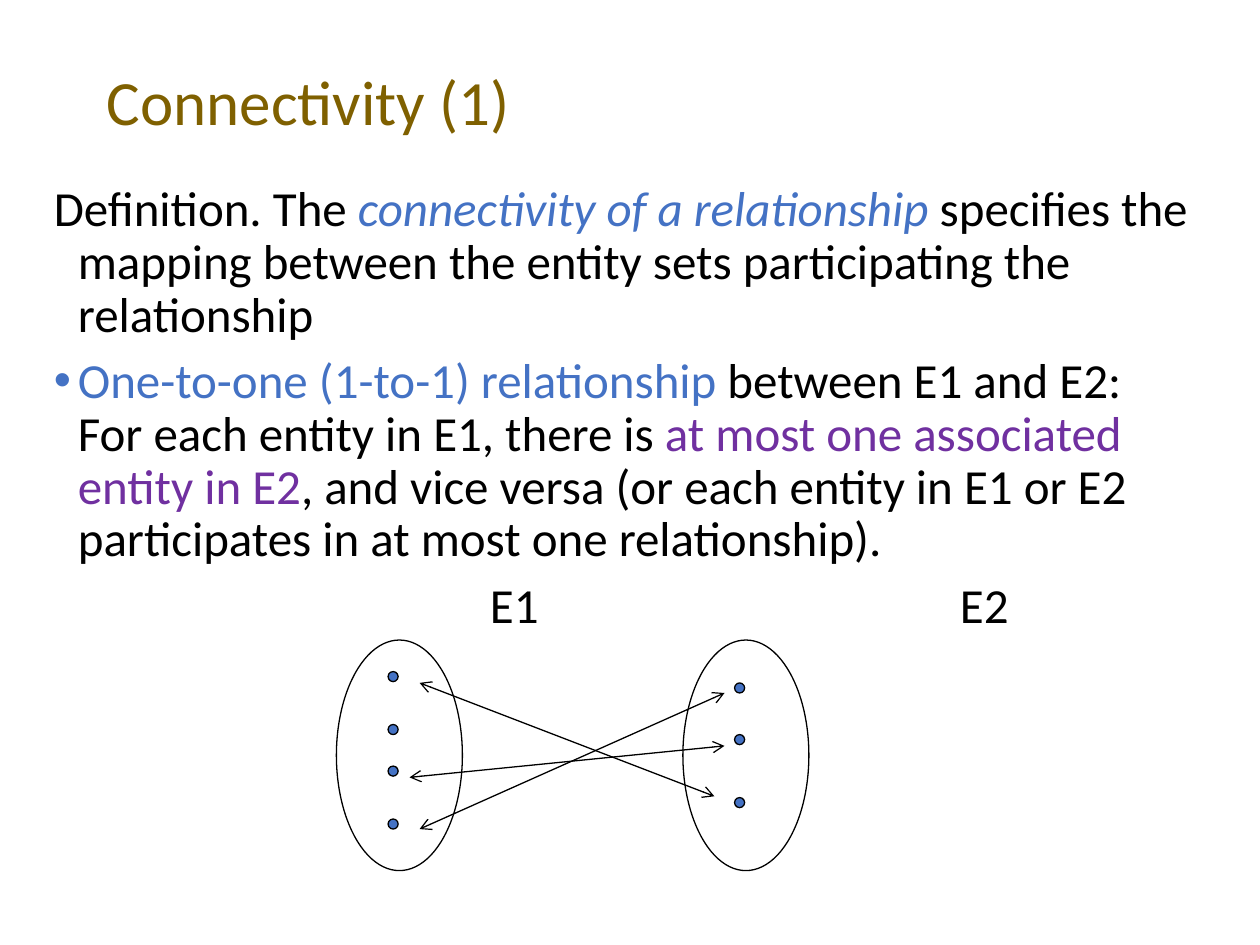
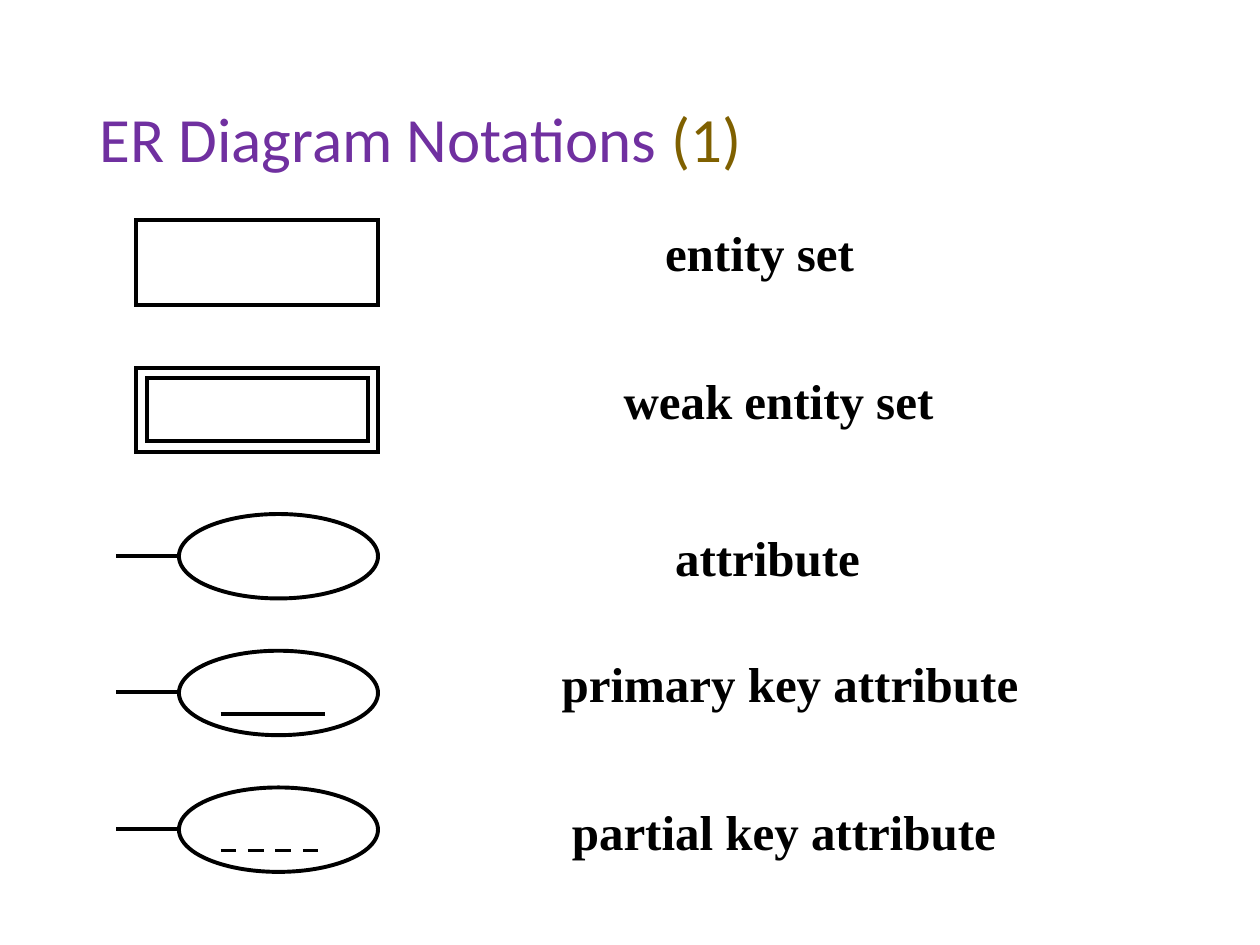
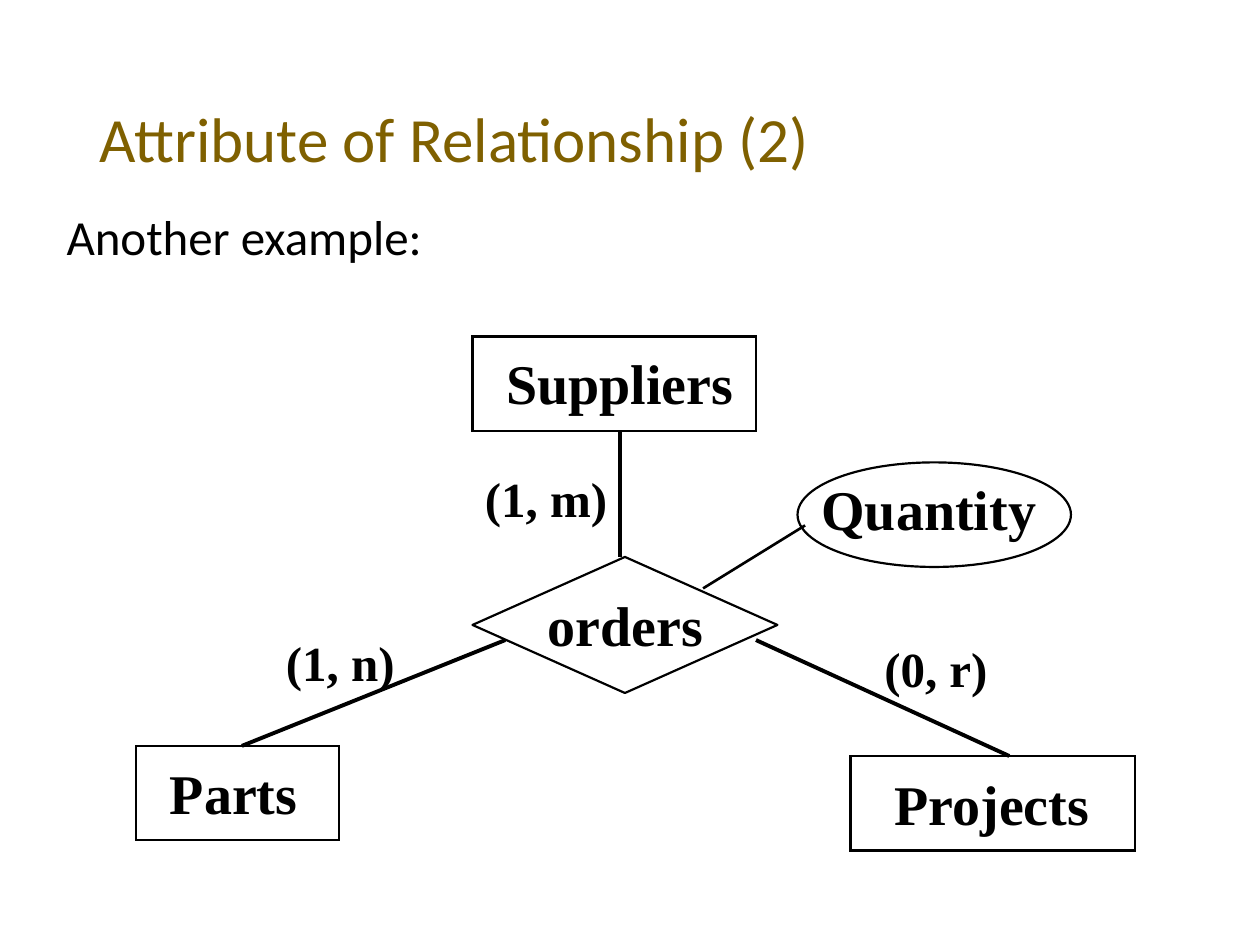
from lxml.etree import SubElement
from pptx import Presentation
from pptx.dml.color import RGBColor
from pptx.enum.dml import MSO_LINE
from pptx.enum.shapes import MSO_CONNECTOR, MSO_SHAPE
from pptx.enum.text import MSO_ANCHOR
from pptx.oxml.ns import qn
from pptx.util import Inches, Pt

COLORS = {"black": "000000", "gold": "7F6000", "blue": "4472C4", "purple": "7030A0"}
TITLE = {"name": "Calibri", "size": Pt(36)}
BODY = {"name": "Calibri", "size": Pt(28)}
LABEL = {"name": "Times New Roman", "size": Pt(28), "bold": True}
NAME = {**LABEL, "size": Pt(32)}
HANGING = 0.19


def color(key):
    return RGBColor.from_string(COLORS[key])


def add_span(para, text, style, key="black", **extra):
    span = para.add_run()
    span.text = text
    for attribute, value in {**style, **extra}.items():
        setattr(span.font, attribute, value)
    span.font.color.rgb = color(key)


def add_box(page, left, top, width, height):
    box = page.shapes.add_textbox(*map(Inches, (left, top, width, height)))
    box.text_frame.word_wrap = True
    return box.text_frame


def add_title(page, spans, left=0.69, top=0.4, width=8.63, height=1.45):
    frame = add_box(page, left, top, width, height)
    frame.vertical_anchor = MSO_ANCHOR.MIDDLE
    para = frame.paragraphs[0]
    para.line_spacing = 0.9
    for text, key in spans:
        add_span(para, text, TITLE, key)


def add_label(page, text, left, top, width, style=LABEL):
    height = 0.57 if style is LABEL else 0.64
    frame = add_box(page, left, top, width + 0.15, height)
    add_span(frame.paragraphs[0], text, style)


def format_para(para, margin=0.0, indent=0.0, bullet=None):
    props = para._p.get_or_add_pPr()
    props.set("marL", str(Inches(margin)))
    props.set("indent", str(Inches(indent)))
    if bullet:
        tint = SubElement(props, qn("a:buClr"))
        SubElement(tint, qn("a:srgbClr"), val=COLORS[bullet])
        SubElement(props, qn("a:buFont"), typeface="Arial")
        SubElement(props, qn("a:buChar"), char="•")
    para.line_spacing = 0.9


def add_outline(page, kind, left, top, width, height, weight, fill=None):
    shape = page.shapes.add_shape(kind, *map(Inches, (left, top, width, height)))
    shape.shadow.inherit = False
    if fill:
        shape.fill.solid()
        shape.fill.fore_color.rgb = color(fill)
    else:
        shape.fill.background()
    shape.line.color.rgb = color("black")
    shape.line.width = Pt(weight)
    if kind == MSO_SHAPE.RECTANGLE:
        SubElement(shape.line._get_or_add_ln(), qn("a:miter"), lim="800000")


def add_line(page, start, end, weight=2.25, dashed=False, arrows=False):
    points = map(Inches, (*start, *end))
    line = page.shapes.add_connector(MSO_CONNECTOR.STRAIGHT, *points)
    line.line.color.rgb = color("black")
    line.line.width = Pt(weight)
    if dashed:
        line.line.dash_style = MSO_LINE.DASH
    if arrows:
        for tag in ("a:headEnd", "a:tailEnd"):
            SubElement(line.line._get_or_add_ln(), qn(tag), type="arrow")
    SubElement(line._element.spPr, qn("a:effectLst"))


def build_connectivity(page):
    add_title(page, [("Connectivity (1)", "gold")], 0.75, 0.42, 8.5, 0.83)

    # Definition and one-to-one rule
    frame = add_box(page, 0.33, 1.41, 9.33, 3.15)
    definition = frame.paragraphs[0]
    format_para(definition, HANGING, -HANGING)
    add_span(definition, "Definition. The ", BODY)
    add_span(definition, "connectivity of a relationship", BODY, "blue", italic=True)
    add_span(definition, " specifies the mapping between the entity sets "
             "participating the relationship", BODY)

    rule = frame.add_paragraph()
    format_para(rule, HANGING, -HANGING, bullet="blue")
    rule.space_before = Pt(7.5)
    add_span(rule, "One-to-one (1-to-1) relationship", BODY, "blue")
    add_span(rule, " between E1 and E2:", BODY)
    rule.add_line_break()
    add_span(rule, "For each entity in E1, there is ", BODY)
    add_span(rule, "at most one associated entity in E2", BODY, "purple")
    add_span(rule, ", and vice versa (or each entity in E1 or E2 participates "
             "in at most one relationship).", BODY)

    # Headings of the two sets
    for text, left in (("E1", 3.79), ("E2", 7.52)):
        heading = add_box(page, left, 4.56, 0.75, 0.52).paragraphs[0]
        format_para(heading)
        add_span(heading, text, BODY)

    # Entity sets and their members
    members = {2.67: (5.33, 5.75, 6.08, 6.5), 5.42: (5.42, 5.83, 6.33)}
    for left, tops in members.items():
        add_outline(page, MSO_SHAPE.OVAL, left, 5.08, 1, 1.83, 0.75)
        for top in tops:
            add_outline(page, MSO_SHAPE.OVAL, left + 0.41, top, 0.08, 0.08, 0.75, "blue")

    # Pairings
    for start, end in (((3.33, 5.42), (5.67, 6.32)),
                       ((3.25, 6.17), (5.75, 5.92)),
                       ((3.33, 6.58), (5.75, 5.5))):
        add_line(page, start, end, 0.75, arrows=True)


def add_attribute(page, top, underline=None):
    add_outline(page, MSO_SHAPE.OVAL, 1.42, top, 1.58, 0.67, 2.25)
    middle = top + 0.33
    add_line(page, (1.42, middle), (0.92, middle))
    if underline:
        add_line(page, (1.75, top + 0.5), (2.58, top + 0.5), dashed=underline == "dashed")


def build_notations(page):
    add_title(page, [("ER Diagram Notations ", "purple"), ("(1)", "gold")])

    # Symbols
    for top in (1.75, 2.92):
        add_outline(page, MSO_SHAPE.RECTANGLE, 1.08, top, 1.92, 0.67, 2.25)
    add_outline(page, MSO_SHAPE.RECTANGLE, 1.17, 3, 1.75, 0.5, 2.25)
    for row, underline in enumerate((None, "solid", "dashed")):
        add_attribute(page, 4.08 + row * 1.085, underline)

    # Meanings
    for text, left, top, width in (("entity set", 5.18, 1.72, 1.7),
                                   ("weak entity set", 4.85, 2.89, 2.66),
                                   ("attribute", 5.26, 4.14, 1.66),
                                   ("primary key attribute", 4.36, 5.14, 3.82),
                                   ("partial key attribute", 4.44, 6.31, 3.56)):
        add_label(page, text, left, top, width)


def build_attribute_example(page):
    add_title(page, [("Attribute of Relationship (2)", "gold")])
    intro = add_box(page, 0.33, 1.64, 9.33, 0.6).paragraphs[0]
    format_para(intro, margin=0.1)
    add_span(intro, "Another example:", BODY)

    # Connections
    for start, end, weight in (((1.92, 5.92), (4.01, 5.08), 2.25),
                               ((6, 5.08), (8.01, 6), 2.25),
                               ((4.92, 4.42), (4.92, 3.42), 2.25),
                               ((5.58, 4.67), (6.39, 4.17), 1.5)):
        add_line(page, start, end, weight)

    # Nodes: outline, then name
    box, oval, diamond = MSO_SHAPE.RECTANGLE, MSO_SHAPE.OVAL, MSO_SHAPE.DIAMOND
    for kind, outline, text, place in (
            (diamond, (3.75, 4.42, 2.42, 1.08), "orders", (4.25, 4.64, 1.43)),
            (box, (1.08, 5.92, 1.61, 0.75), "Parts", (1.25, 5.97, 1.32)),
            (box, (6.75, 6, 2.26, 0.75), "Projects", (7, 6.06, 1.75)),
            (box, (3.75, 2.67, 2.25, 0.75), "Suppliers", (3.92, 2.72, 2)),
            (oval, (6.33, 3.67, 2.17, 0.83), "Quantity", (6.42, 3.72, 1.9))):
        add_outline(page, kind, *outline, 1.25)
        add_label(page, text, *place, NAME)

    # Participation limits
    for text, left, top, width in (("(1, m)", 3.75, 3.67, 1.17),
                                   ("(1, n)", 2.17, 4.97, 1.06),
                                   ("(0, r)", 6.92, 5.02, 1.02)):
        add_label(page, text, left, top, width)


def main():
    deck = Presentation()
    deck.slide_width, deck.slide_height = Inches(10), Inches(7.5)
    for build in (build_connectivity, build_notations, build_attribute_example):
        build(deck.slides.add_slide(deck.slide_layouts[6]))
    deck.save("out.pptx")


if __name__ == "__main__":
    main()
